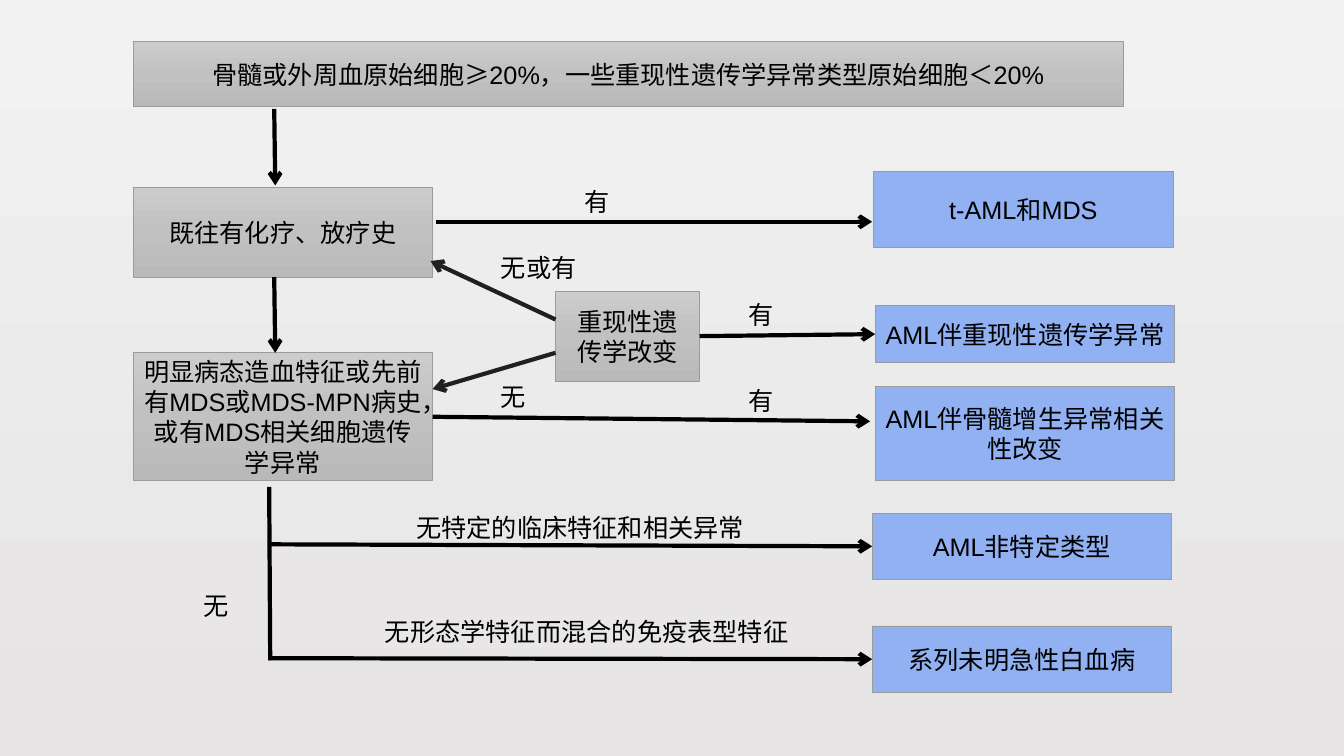
import copy
import pptx
import pptx.util
import pptx.dml.color
import pptx.enum.shapes
import pptx.enum.text
import pptx.oxml.ns
import pptx.oxml.xmlchemy

Inches, Pt = pptx.util.Inches, pptx.util.Pt
qn = pptx.oxml.ns.qn
TEXT = pptx.enum.text


def rgb(code):
    return pptx.dml.color.RGBColor.from_string(code)


def write(frame, text, align):
    par = frame.paragraphs[0]
    par.alignment = align
    run = par.add_run()
    run.text = text
    run.font.name = "Arial"
    run.font.size = Pt(18)
    run.font.color.rgb = rgb("000000")


deck = pptx.Presentation()
deck.slide_width, deck.slide_height = Inches(13.33), Inches(7.5)
slide = deck.slides.add_slide(deck.slide_layouts[6])

# Background
back = slide.background.fill
back.gradient()
back.gradient_angle = 270
for stop, code in zip(back.gradient_stops, ["F2F2F2", "E6E4E4"]):
    stop.color.rgb = rgb(code)

# Boxes: grey for criteria, blue for diagnoses
boxes = {
    "blasts": (1.32, 0.41, 9.82, 0.65, "grey",
               "骨髓或外周血原始细胞≥20%，一些重现性遗传学异常类型原始细胞＜20%"),
    "past": (1.32, 1.86, 2.97, 0.89, "grey", "既往有化疗、放疗史"),
    "signs": (1.32, 3.5, 2.97, 1.27, "grey",
              "明显病态造血特征或先前有MDS或MDS-MPN病史，或有MDS相关细胞遗传学异常"),
    "genes": (5.51, 2.89, 1.43, 0.89, "grey", "重现性遗传学改变"),
    "therapy": (8.66, 1.7, 2.98, 0.75, "blue", "t-AML和MDS"),
    "recur": (8.68, 3.03, 2.97, 0.57, "blue", "AML伴重现性遗传学异常"),
    "change": (8.68, 3.83, 2.97, 0.94, "blue", "AML伴骨髓增生异常相关性改变"),
    "other": (8.65, 5.09, 2.97, 0.66, "blue", "AML非特定类型"),
    "unclear": (8.65, 6.21, 2.97, 0.66, "blue", "系列未明急性白血病"),
}
nodes = {}
for name, (left, top, width, height, kind, text) in boxes.items():
    box = slide.shapes.add_shape(
        pptx.enum.shapes.MSO_SHAPE.RECTANGLE,
        Inches(left), Inches(top), Inches(width), Inches(height))
    box.shadow.inherit = False
    box.line.color.rgb = rgb("9B9B9B")
    box.line.width = Pt(0.5)
    if kind == "blue":
        box.fill.solid()
        box.fill.fore_color.rgb = rgb("91B1F2")
    else:
        box.fill.gradient()
        box.fill.gradient_angle = 270
        stops = box.element.spPr.find(qn("a:gradFill")).find(qn("a:gsLst"))
        stops.insert(1, copy.deepcopy(stops[0]))
        shades = [(0, "CCCCCC"), (0.5, "C1C1C1"), (1, "B9B9B9")]
        for stop, (pos, code) in zip(box.fill.gradient_stops, shades):
            stop.position = pos
            stop.color.rgb = rgb(code)
    box.text_frame.word_wrap = True
    box.text_frame.vertical_anchor = TEXT.MSO_ANCHOR.MIDDLE
    write(box.text_frame, text, TEXT.PP_ALIGN.CENTER)
    nodes[name] = box

# Lines: ends, colour, arrowhead, joined start, joined end
links = [
    (2.72, 1.08, 2.73, 1.84, "000000", True, None, None),
    (2.72, 2.75, 2.73, 3.5, "000000", True, None, None),
    (4.32, 2.2, 8.65, 2.2, "000000", True, None, None),
    (4.29, 4.15, 8.63, 4.18, "000000", True, "signs", None),
    (6.95, 3.35, 8.66, 3.34, "000000", True, "genes", "recur"),
    (2.69, 5.4, 8.68, 5.43, "000000", True, None, "other"),
    (2.66, 6.53, 8.65, 6.56, "000000", True, None, "unclear"),
    (2.67, 4.83, 2.68, 6.55, "000000", False, None, None),
    (5.51, 3.17, 4.27, 2.59, "202020", True, None, None),
    (5.51, 3.5, 4.29, 3.86, "202020", True, None, None),
]
for x1, y1, x2, y2, code, arrow, start, end in links:
    link = slide.shapes.add_connector(
        pptx.enum.shapes.MSO_CONNECTOR.STRAIGHT,
        Inches(x1), Inches(y1), Inches(x2), Inches(y2))
    if start:
        link.begin_connect(nodes[start], 3)
    if end:
        link.end_connect(nodes[end], 1)
    link.line.color.rgb = rgb(code)
    link.line.width = Pt(3)
    if arrow:
        tail = pptx.oxml.xmlchemy.OxmlElement("a:tailEnd")
        tail.set("type", "arrow")
        link.line._get_or_add_ln().append(tail)
    link.element.spPr.append(pptx.oxml.xmlchemy.OxmlElement("a:effectLst"))

# Labels beside the lines
labels = [
    (5.7, 1.8, 0.45, True, "有"),
    (7.33, 2.92, 0.45, True, "有"),
    (7.33, 3.77, 0.45, True, "有"),
    (4.87, 2.45, 1.28, True, "无或有"),
    (4.87, 3.73, 0.45, False, "无"),
    (1.92, 5.81, 0.45, False, "无"),
    (4.03, 5.03, 4.29, True, "无特定的临床特征和相关异常"),
    (3.72, 6.07, 4.6, True, "无形态学特征而混合的免疫表型特征"),
]
for left, top, width, wrap, text in labels:
    label = slide.shapes.add_textbox(
        Inches(left), Inches(top), Inches(width), Inches(0.4))
    label.text_frame.word_wrap = wrap
    label.text_frame.auto_size = TEXT.MSO_AUTO_SIZE.SHAPE_TO_FIT_TEXT
    write(label.text_frame, text, TEXT.PP_ALIGN.LEFT)

deck.save("out.pptx")
